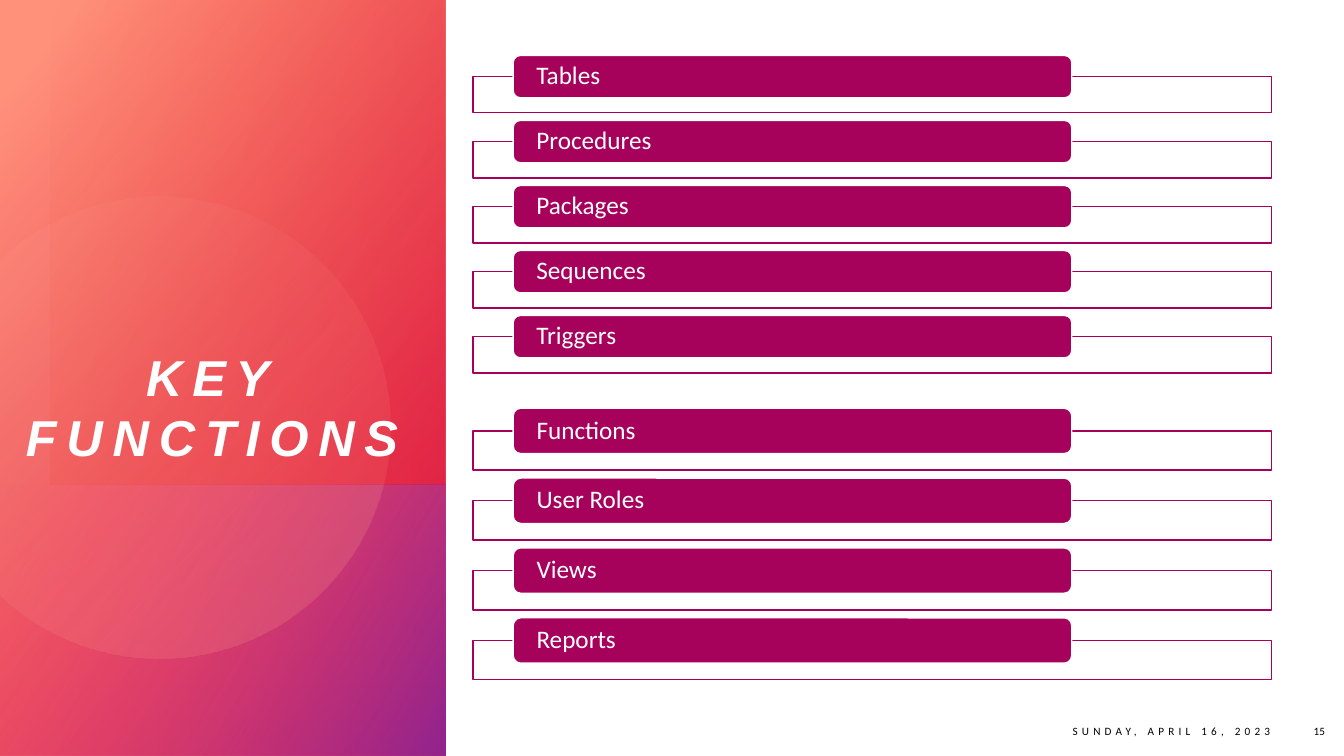
from math import cos, sin, radians, acos, degrees
from lxml.etree import SubElement
from pptx import Presentation
from pptx.dml.color import RGBColor
from pptx.enum.shapes import MSO_SHAPE as SHAPE
from pptx.enum.text import MSO_ANCHOR as ANCHOR, PP_ALIGN as ALIGN
from pptx.oxml.ns import qn
from pptx.util import Inches, Pt

COLORS = {
    "white": "FFFFFF", "black": "000000", "plum": "A6025C",
    "salmon": "FF907A", "red": "DA002F", "pink": "FF5076",
    "purple": "92248E", "orange": "FE4A00", "blush": "FFBCAF",
}
rgb = {name: RGBColor.from_string(value) for name, value in COLORS.items()}


def fade(sp, angle, stops):
    sp.shadow.inherit = False
    sp.line.fill.background()
    sp.fill.gradient()
    sp.fill.gradient_angle = 360 - angle
    for stop, (position, color, alpha) in zip(sp.fill.gradient_stops, stops):
        stop.position = position / 100
        stop.color.rgb = rgb[color]
    for clr, (position, color, alpha) in zip(sp._element.spPr.iter(qn("a:srgbClr")), stops):
        SubElement(clr, qn("a:alpha")).set("val", str(alpha * 1000))


def write(tf, text, size, color, font, align, spacing=0):
    tf.word_wrap = True
    tf.text = text
    p = tf.paragraphs[0]
    p.alignment = align
    r = p.runs[0]
    r.font.size = Pt(size)
    r.font.name = font
    r.font.color.rgb = rgb[color]
    if spacing:
        r._r.get_or_add_rPr().set("spc", str(spacing * 100))


prs = Presentation()
prs.slide_width = Inches(13.33)
prs.slide_height = Inches(7.5)
s = prs.slides.add_slide(prs.slide_layouts[5])

panel = s.shapes.add_shape(SHAPE.RECTANGLE, 0, 0, Inches(4.42), Inches(7.5))
fade(panel, 40, [(8, "salmon", 100), (100, "red", 89)])

base = s.shapes.add_shape(SHAPE.RECTANGLE, 0, Inches(4.81), Inches(4.42), Inches(2.69))
fade(base, 30, [(0, "pink", 0), (99, "purple", 100)])

cx, cy, radius = 1.58, 4.24, 2.29
reach = degrees(acos(-cx / radius))
steps = 90
arc = []
for i in range(steps + 1):
    a = radians(-reach + 2 * reach * i / steps)
    arc.append((Inches(cx + radius * cos(a)), Inches(cy + radius * sin(a))))
builder = s.shapes.build_freeform(*arc[0])
builder.add_line_segments(arc[1:], close=True)
disc = builder.convert_to_shape()
fade(disc, 45, [(36, "blush", 6), (100, "salmon", 26)])

glow = s.shapes.add_shape(SHAPE.RECTANGLE, Inches(0.5), 0, Inches(3.92), Inches(4.81))
fade(glow, 20, [(0, "orange", 0), (100, "red", 29)])

title = s.shapes.title
title.left, title.top = Inches(0), Inches(0.95)
title.width, title.height = Inches(4.21), Inches(3.68)
tf = title.text_frame
tf.margin_left = tf.margin_top = tf.margin_right = tf.margin_bottom = 0
tf.vertical_anchor = ANCHOR.BOTTOM
write(tf, "KEY FUNCTIONS", 36, "white", "Arial", ALIGN.CENTER, 7)
font = tf.paragraphs[0].runs[0].font
font.bold = font.italic = True
s.shapes._spTree.append(title._element)

footers = [
    (8.65, 4.05, "SUNDAY, APRIL 16, 2023", 3),
    (12.76, 0.48, "15", 0),
]
for left, width, text, spacing in footers:
    tb = s.shapes.add_textbox(Inches(left), Inches(7.01), Inches(width), Inches(0.49))
    tb.text_frame.vertical_anchor = ANCHOR.MIDDLE
    write(tb.text_frame, text, 8, "black", "Calibri", ALIGN.RIGHT, spacing)

groups = [
    (0.55, 0.645, 0.42, 0.36, ["Tables", "Procedures", "Packages", "Sequences", "Triggers"]),
    (4.05, 0.693, 0.45, 0.39, ["Functions", "User Roles", "Views", "Reports"]),
]
for top, pitch, bar_height, frame_height, labels in groups:
    for i, label in enumerate(labels):
        y = top + i * pitch
        frame = s.shapes.add_shape(SHAPE.RECTANGLE, Inches(4.69), Inches(y + bar_height / 2),
                                   Inches(7.92), Inches(frame_height))
        bar = s.shapes.add_shape(SHAPE.ROUNDED_RECTANGLE, Inches(5.09), Inches(y),
                                 Inches(5.54), Inches(bar_height))
        for sp, fill, line in [(frame, "white", "plum"), (bar, "plum", "white")]:
            sp.shadow.inherit = False
            sp.fill.solid()
            sp.fill.fore_color.rgb = rgb[fill]
            sp.line.color.rgb = rgb[line]
            sp.line.width = Pt(1)
        tf = bar.text_frame
        tf.margin_left = tf.margin_right = Inches(0.21)
        tf.margin_top = tf.margin_bottom = 0
        tf.vertical_anchor = ANCHOR.MIDDLE
        write(tf, label, 18, "white", "Calibri", ALIGN.LEFT)
        tf.paragraphs[0].line_spacing = 0.9

prs.save("out.pptx")
